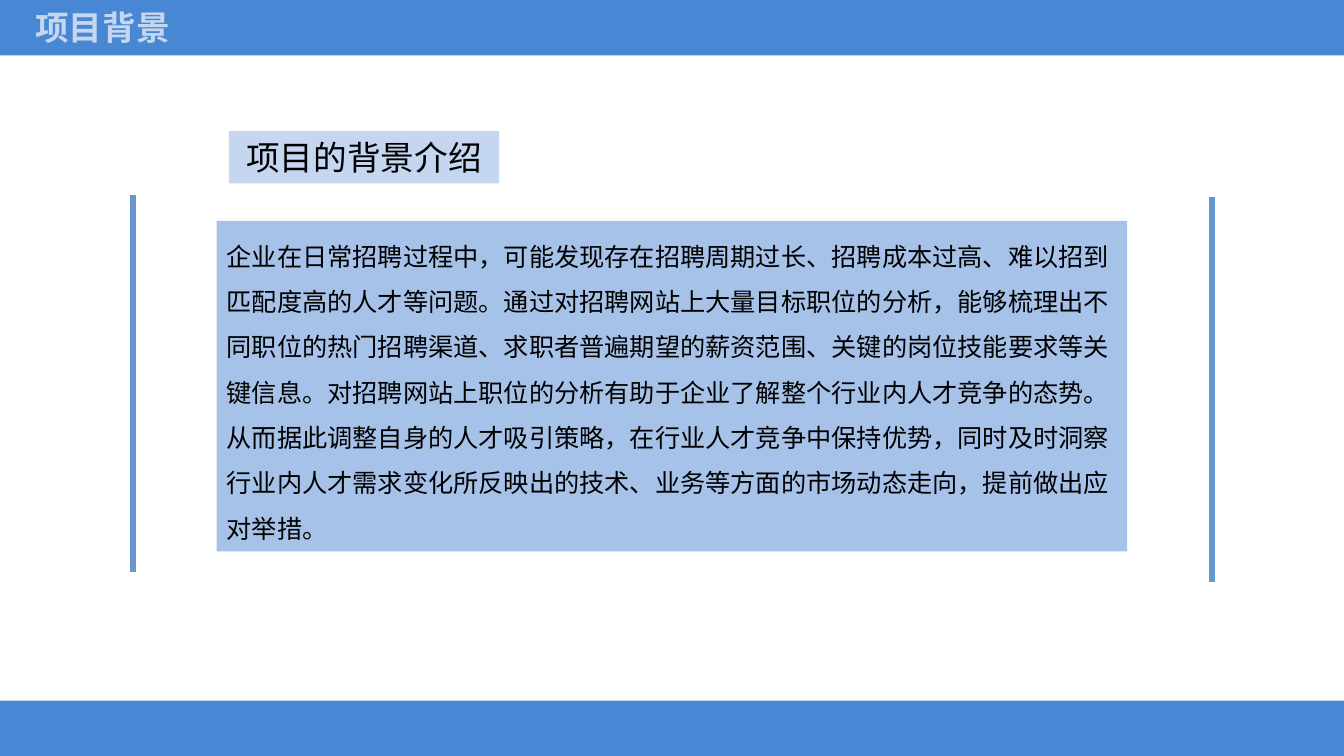
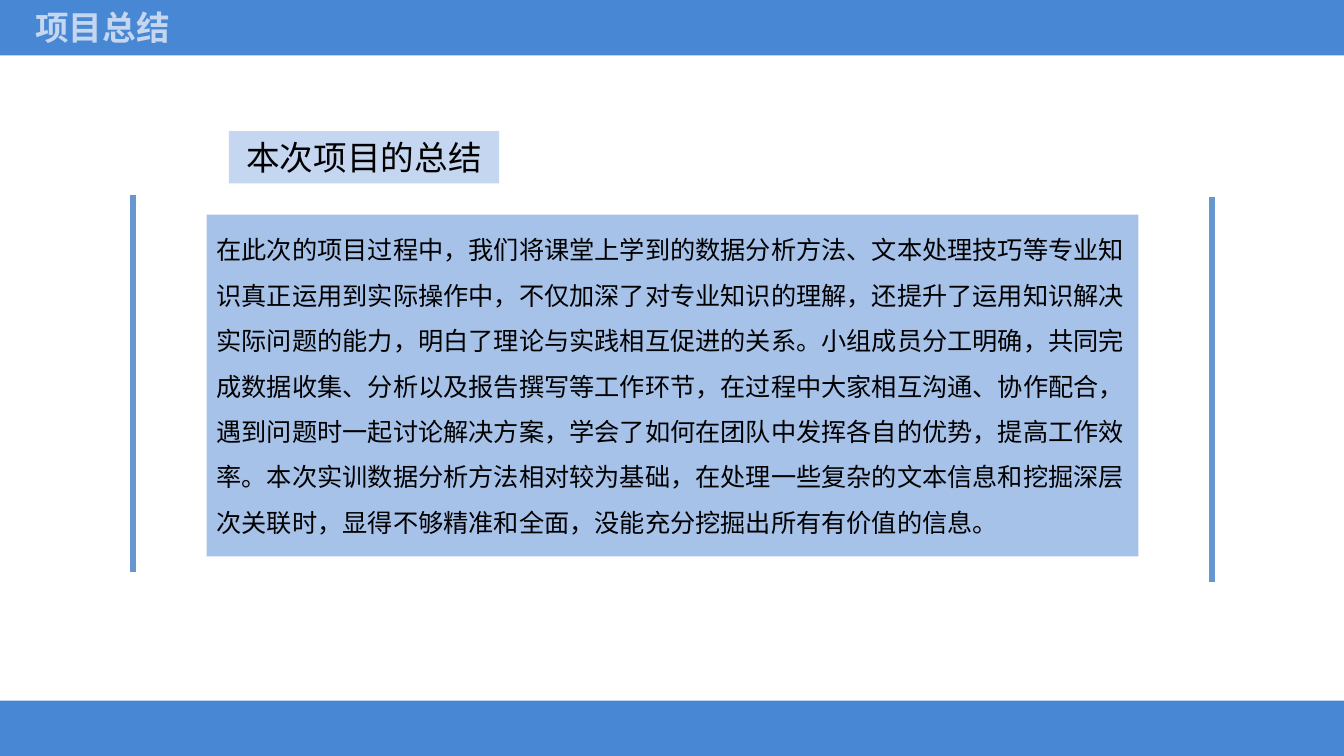
from lxml.etree import SubElement
from pptx import Presentation
from pptx.dml.color import RGBColor
from pptx.enum.shapes import MSO_CONNECTOR, MSO_SHAPE
from pptx.enum.text import MSO_ANCHOR, MSO_AUTO_SIZE, PP_ALIGN
from pptx.oxml.ns import qn
from pptx.util import Inches, Pt

FONT = "Noto Sans CJK SC"
BAND_BLUE = RGBColor(0x48, 0x87, 0xD3)
PANEL_BLUE = RGBColor(0xA7, 0xC2, 0xE9)
PALE_BLUE = RGBColor(0xC4, 0xD6, 0xF0)
RULE_BLUE = RGBColor(0x67, 0x97, 0xCF)
BLACK = RGBColor(0, 0, 0)

SLIDE_WIDTH, SLIDE_HEIGHT, BAND_HEIGHT = 13.33, 7.5, 0.55
BANDS = [(0, top, SLIDE_WIDTH, BAND_HEIGHT) for top in (0, SLIDE_HEIGHT - BAND_HEIGHT)]
TITLE_BOX = (0.25, 0.02, 1.54, 0.5)
HEADING_BOX = (2.27, 1.3, 2.68, 0.52)
SIDE_RULES = [(1.32, 1.93, 5.67), (12.02, 1.95, 5.77)]  # x, top, bottom

SLIDES = [
    {
        "title": "项目背景",
        "heading": "项目的背景介绍",
        "panel": (2.15, 2.19, 9.03, 3.28),
        "body": "企业在日常招聘过程中，可能发现存在招聘周期过长、招聘成本过高、难以招到匹配度高的人才等问题。"
                "通过对招聘网站上大量目标职位的分析，能够梳理出不同职位的热门招聘渠道、求职者普遍期望的薪资范围、"
                "关键的岗位技能要求等关键信息。对招聘网站上职位的分析有助于企业了解整个行业内人才竞争的态势。"
                "从而据此调整自身的人才吸引策略，在行业人才竞争中保持优势，同时及时洞察行业内人才需求变化所反映出的"
                "技术、业务等方面的市场动态走向，提前做出应对举措。",
    },
    {
        "title": "项目总结",
        "heading": "本次项目的总结",
        "panel": (2.05, 2.13, 9.24, 3.39),
        "body": "在此次的项目过程中，我们将课堂上学到的数据分析方法、文本处理技巧等专业知识真正运用到实际操作中，"
                "不仅加深了对专业知识的理解，还提升了运用知识解决实际问题的能力，明白了理论与实践相互促进的关系。"
                "小组成员分工明确，共同完成数据收集、分析以及报告撰写等工作环节，在过程中大家相互沟通、协作配合，"
                "遇到问题时一起讨论解决方案，学会了如何在团队中发挥各自的优势，提高工作效率。"
                "本次实训数据分析方法相对较为基础，在处理一些复杂的文本信息和挖掘深层次关联时，"
                "显得不够精准和全面，没能充分挖掘出所有有价值的信息。",
    },
]


def add_rectangle(slide, box, color):
    shape = slide.shapes.add_shape(MSO_SHAPE.RECTANGLE, *map(Inches, box))
    shape.shadow.inherit = False
    shape.fill.solid()
    shape.fill.fore_color.rgb = color
    shape.line.fill.background()
    return shape


def write_text(shape, text, size, color=BLACK, bold=False, align=PP_ALIGN.LEFT,
               anchor=MSO_ANCHOR.MIDDLE, wrap=False, spacing=1.0):
    frame = shape.text_frame
    frame.auto_size = MSO_AUTO_SIZE.NONE
    frame.word_wrap = wrap
    frame.vertical_anchor = anchor
    paragraph = frame.paragraphs[0]
    paragraph.alignment = align
    paragraph.line_spacing = spacing
    run = paragraph.add_run()
    run.text = text
    font = run.font
    font.name, font.size, font.bold = FONT, Pt(size), bold
    font.color.rgb = color
    # Chinese characters take their typeface from a:ea
    SubElement(run.font._element, qn("a:ea"), typeface=FONT)


def add_side_rule(slide, x, top, bottom):
    rule = slide.shapes.add_connector(
        MSO_CONNECTOR.STRAIGHT, Inches(x), Inches(top), Inches(x), Inches(bottom))
    rule.line.color.rgb = RULE_BLUE
    rule.line.width = Pt(4)
    SubElement(rule.element.spPr, qn("a:effectLst"))


def place_title(slide, text):
    """Set the title and raise it above the top band."""
    title = slide.shapes.title
    title.left, title.top, title.width, title.height = map(Inches, TITLE_BOX)
    write_text(title, text, 24, PALE_BLUE, bold=True)
    title.element.getparent().append(title.element)


def build_slide(presentation, content):
    slide = presentation.slides.add_slide(presentation.slide_layouts[5])
    panel = add_rectangle(slide, content["panel"], PANEL_BLUE)
    write_text(panel, content["body"], 18, anchor=MSO_ANCHOR.TOP, wrap=True, spacing=1.5)
    for band in BANDS:
        add_rectangle(slide, band, BAND_BLUE)
    place_title(slide, content["title"])
    for rule in SIDE_RULES:
        add_side_rule(slide, *rule)
    heading = add_rectangle(slide, HEADING_BOX, PALE_BLUE)
    write_text(heading, content["heading"], 24, align=PP_ALIGN.CENTER)


def main():
    presentation = Presentation()
    presentation.slide_width = Inches(SLIDE_WIDTH)
    presentation.slide_height = Inches(SLIDE_HEIGHT)
    for content in SLIDES:
        build_slide(presentation, content)
    presentation.save("out.pptx")


if __name__ == "__main__":
    main()
